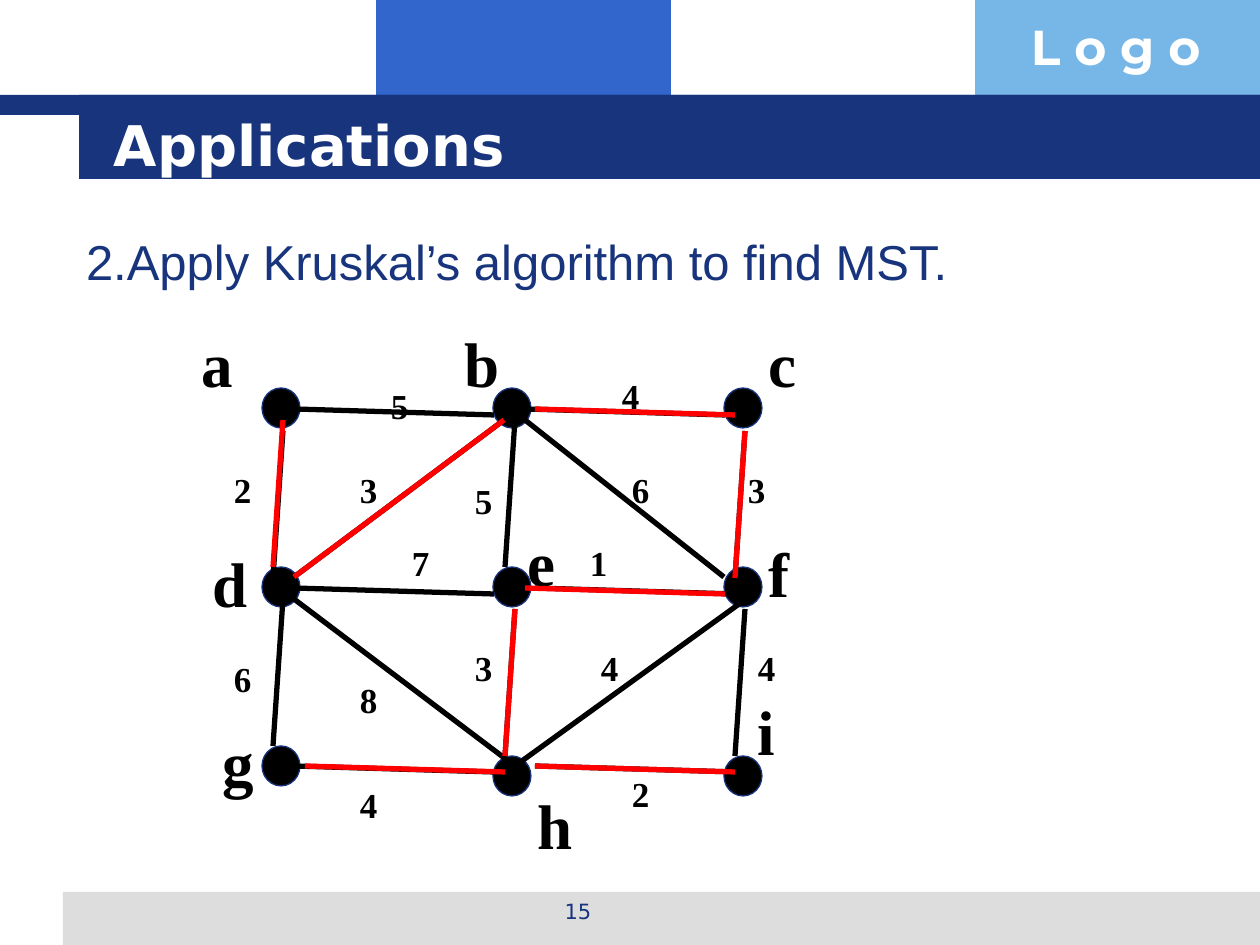
from dataclasses import dataclass

from lxml.etree import SubElement
from pptx import Presentation
from pptx.dml.color import RGBColor
from pptx.enum.shapes import MSO_CONNECTOR as Line, MSO_SHAPE as Preset
from pptx.enum.text import MSO_ANCHOR as Anchor, MSO_AUTO_SIZE as AutoSize, PP_ALIGN as Align
from pptx.oxml.ns import qn
from pptx.util import Emu, Pt


@dataclass(frozen=True)
class Theme:
    navy: str = "17347D"
    blue: str = "3366CC"
    sky: str = "77B7E7"
    grey: str = "DDDDDD"
    white: str = "FFFFFF"
    black: str = "000000"
    red: str = "FF0000"
    head_font: str = "DejaVu Sans"
    body_font: str = "Arial"
    logo_font: str = "Montserrat"
    graph_font: str = "Times New Roman"
    title_size: int = 32
    body_size: int = 28
    node_size: int = 36
    weight_size: int = 20
    page_size: int = 12
    edge_width: int = 3


THEME = Theme()
EMU_PER_PX = 914400 / 126
SLIDE_BOX = (0, 0, 1260, 945)
GRAPH_BOX = (189, 315, 624, 551)

# Everything below is relative to the graph box.
NODE_W, NODE_H = 38, 40
LEFT, MIDDLE, RIGHT = (73 + 231 * column for column in range(3))
TOP, CENTRE, BOTTOM = 73, 252, 441
# name: (node position, label position)
NODES = {
    "a": ((LEFT, TOP), (0, 0)),
    "b": ((MIDDLE, TOP), (262, 0)),
    "c": ((RIGHT, TOP), (567, 0)),
    "d": ((LEFT, CENTRE), (10, 220)),
    "e": ((MIDDLE, CENTRE), (325, 199)),
    "f": ((RIGHT, CENTRE), (567, 210)),
    "g": ((LEFT, BOTTOM - 10), (21, 399)),
    "h": ((MIDDLE, BOTTOM), (336, 462)),
    "i": ((RIGHT, BOTTOM), (556, 368)),
}
ACROSS, DOWN = (200, 6), (-10, 147)
# (weight, weight position, edge start, edge vector, start of the tree edge or None)
EDGES = [
    ("5", (189, 63), (105, 94), ACROSS, None),
    ("4", (420, 53), (336, 94), ACROSS, (346, 94)),
    ("7", (210, 220), (105, 273), ACROSS, None),
    ("1", (388, 220), (346, 273), ACROSS, (336, 273)),
    ("4", (158, 462), (105, 451), ACROSS, (116, 451)),
    ("2", (430, 451), (346, 451), ACROSS, (346, 451)),
    ("2", (32, 147), (94, 116), DOWN, (94, 105)),
    ("6", (32, 336), (94, 284), DOWN, None),
    ("5", (273, 158), (326, 105), DOWN, None),
    ("3", (273, 325), (326, 294), DOWN, (326, 294)),
    ("3", (546, 147), (556, 116), DOWN, (556, 116)),
    ("4", (556, 325), (556, 294), DOWN, None),
    ("3", (158, 147), (105, 262), (210, -157), (105, 262)),
    ("6", (430, 147), (336, 105), (199, 157), None),
    ("8", (158, 357), (105, 284), (221, 167), None),
    ("4", (399, 325), (326, 451), (231, -167), None),
]


def px(length):
    return Emu(round(length * EMU_PER_PX))


def place(shape, x, y, w, h):
    shape.left, shape.top, shape.width, shape.height = map(px, (x, y, w, h))


def write(frame, text, font, size, color, bold=False, align=Align.LEFT,
          anchor=Anchor.TOP, bottom=6):
    frame.word_wrap = True
    frame.auto_size = AutoSize.NONE
    frame.vertical_anchor = anchor
    frame.margin_left = frame.margin_right = px(13)
    frame.margin_top, frame.margin_bottom = px(6), px(bottom)
    line = frame.paragraphs[0]
    line.alignment = align
    line.space_before = Pt(0)
    run = line.add_run()
    run.text = text
    run.font.name, run.font.size, run.font.bold = font, Pt(size), bold
    run.font.color.rgb = RGBColor.from_string(color)
    return line


def add_label(slide, box, *args, **style):
    write(slide.shapes.add_textbox(*map(px, box)).text_frame, *args, **style)


def add_solid(slide, preset, box, fill, outline=None):
    solid = slide.shapes.add_shape(preset, *map(px, box))
    solid.shadow.inherit = False
    solid.fill.solid()
    solid.fill.fore_color.rgb = RGBColor.from_string(fill)
    if outline:
        solid.line.color.rgb = RGBColor.from_string(outline)
        solid.line.width = Pt(0.75)
    else:
        solid.line.fill.background()


def add_edge(slide, x, y, vector, color):
    dx, dy = vector
    edge = slide.shapes.add_connector(
        Line.STRAIGHT, px(x), px(y), px(x + dx), px(y + dy))
    edge.line.color.rgb = RGBColor.from_string(color)
    edge.line.width = Pt(THEME.edge_width)
    SubElement(edge.element.spPr, qn("a:effectLst"))


def draw_frame(slide, box):
    """Header bands, logo word and footer with the page number."""
    x, y, w, h = box
    bands = [
        (376, 0, 295, 116, THEME.blue),
        (975, 0, w - 975, 116, THEME.sky),
        (63, 892, w - 63, h - 892, THEME.grey),
        (0, 95, w, 20, THEME.navy),
        (79, 95, w - 79, 84, THEME.navy),
    ]
    for left, top, width, height, fill in bands:
        add_solid(slide, Preset.RECTANGLE, (x + left, y + top, width, height), fill)
    add_label(slide, (x + 1018, y + 10, 242, 72), "L o g o", THEME.logo_font,
              THEME.body_size, THEME.white, bold=True)
    add_label(slide, (x + 431, y + 892, 294, 44), "15", THEME.head_font,
              THEME.page_size, THEME.navy, align=Align.CENTER)


def fill_placeholders(slide, box):
    x, y, _, _ = box
    title, task = slide.shapes.title, slide.placeholders[1]
    for holder in (title, task):  # bring above the header bands
        holder.element.getparent().append(holder.element)
    place(title, x + 101, y + 101, 1075, 78)
    write(title.text_frame, "Applications", THEME.head_font, THEME.title_size,
          THEME.white, bold=True, anchor=Anchor.BOTTOM, bottom=1)
    place(task, x + 73, y + 225, 903, 72)
    line = write(task.text_frame, "2.Apply Kruskal’s algorithm to find MST.",
                 THEME.body_font, THEME.body_size, THEME.navy)
    layout = line._p.get_or_add_pPr()
    layout.set("marL", "0")
    layout.set("indent", "0")
    SubElement(layout, qn("a:buNone"))


def draw_graph(slide, box):
    """Weighted graph in black, with its minimum spanning tree in red on top."""
    x, y, _, _ = box
    for (left, top), _ in NODES.values():
        add_solid(slide, Preset.OVAL, (x + left, y + top, NODE_W, NODE_H),
                  THEME.black, THEME.navy)
    for _, _, (left, top), vector, _ in EDGES:
        add_edge(slide, x + left, y + top, vector, THEME.black)
    labels = [(name, at, 68, 89, THEME.node_size) for name, (_, at) in NODES.items()]
    labels += [(weight, at, 53, 53, THEME.weight_size) for weight, at, *_ in EDGES]
    for text, (left, top), width, height, size in labels:
        add_label(slide, (x + left, y + top, width, height), text, THEME.graph_font,
                  size, THEME.black, bold=True, anchor=Anchor.BOTTOM, bottom=4)
    for _, _, _, vector, tree_start in EDGES:
        if tree_start:
            left, top = tree_start
            add_edge(slide, x + left, y + top, vector, THEME.red)


def main():
    deck = Presentation()
    deck.slide_width, deck.slide_height = px(SLIDE_BOX[2]), px(SLIDE_BOX[3])
    slide = deck.slides.add_slide(deck.slide_layouts[1])
    draw_frame(slide, SLIDE_BOX)
    fill_placeholders(slide, SLIDE_BOX)
    draw_graph(slide, GRAPH_BOX)
    deck.save("out.pptx")


if __name__ == "__main__":
    main()
